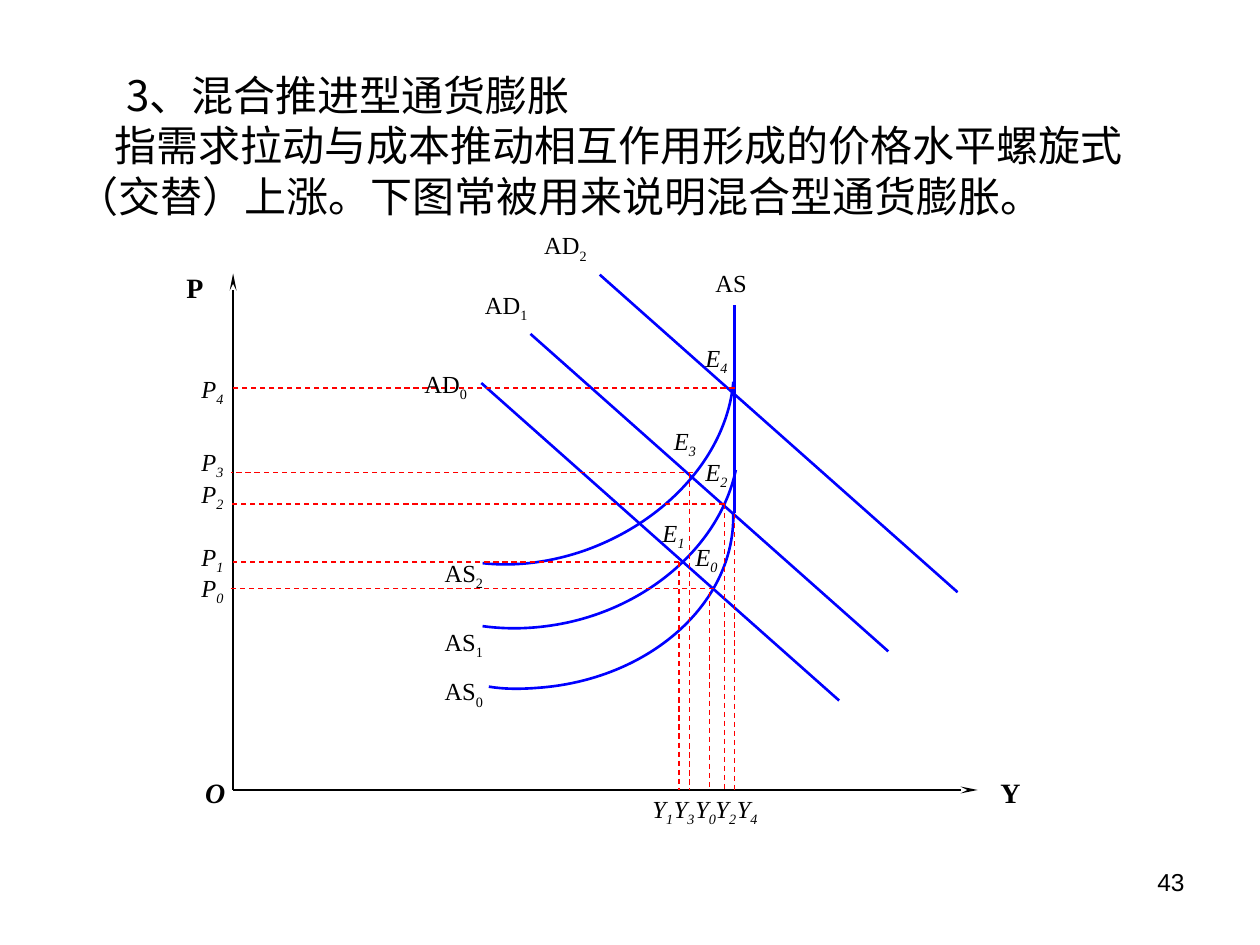
import dataclasses

import lxml.etree
import pptx
import pptx.dml.color
import pptx.enum.dml
import pptx.enum.shapes
import pptx.enum.text
import pptx.oxml.ns
import pptx.util

Inches = pptx.util.Inches
Pt = pptx.util.Pt
qn = pptx.oxml.ns.qn

BLACK = pptx.dml.color.RGBColor(0x00, 0x00, 0x00)
BLUE = pptx.dml.color.RGBColor(0x00, 0x00, 0xFF)
RED = pptx.dml.color.RGBColor(0xFF, 0x00, 0x00)
SERIF = "Times New Roman"
CHINESE = "Noto Sans CJK SC"

TITLE_LINES = [
    ("3、混合推进型通货膨胀", 0.39),
    ("指需求拉动与成本推动相互作用形成的价格水平螺旋式（交替）上涨。下图常被用来说明混合型通货膨胀。", 0.3),
]
AXIS_LABELS = [("O", 0.53, 5.11), ("Y", 6.84, 5.11), ("P", 0.38, 1.1)]
POINT_LABELS = [
    ("E", "0", 4.42, 3.25, 0.63), ("E", "1", 4.16, 3.06, 0.4),
    ("E", "2", 4.5, 2.58, 0.63), ("E", "3", 4.25, 2.33, 0.4),
    ("E", "4", 4.5, 1.67, 0.4),
    ("P", "0", 0.5, 3.5, 0.55), ("P", "1", 0.5, 3.25, 0.4),
    ("P", "2", 0.5, 2.75, 0.55), ("P", "3", 0.5, 2.5, 0.4),
    ("P", "4", 0.5, 1.92, 0.4),
    ("Y", "0", 4.42, 5.25, 0.55), ("Y", "1", 4.08, 5.25, 0.55),
    ("Y", "2", 4.58, 5.25, 0.5), ("Y", "3", 4.25, 5.25, 0.4),
    ("Y", "4", 4.75, 5.25, 0.4),
    ("AD", "0", 2.27, 1.88, 0.87), ("AD", "1", 2.75, 1.25, 0.58),
    ("AD", "2", 3.22, 0.78, 0.58),
    ("AS", "0", 2.43, 4.32, 1.26), ("AS", "1", 2.43, 3.93, 1.26),
    ("AS", "2", 2.43, 3.38, 0.62), ("AS", "", 4.58, 1.08, 0.5),
]
DEMAND_STARTS = [(2.82, 2.04), (3.21, 1.65), (3.76, 1.18)]
DEMAND_RUN, DEMAND_DROP = 2.84, 2.52
SUPPLY_CURVES = [
    [(2.88, 4.45), (3, 4.47), (3.13, 4.47), (3.26, 4.46), (4.15, 4.4), (4.84, 3.79), (4.82, 3.07)],
    [(2.83, 3.97), (3.05, 4), (3.28, 3.99), (3.51, 3.94), (4.19, 3.79), (4.72, 3.3), (4.84, 2.73)],
    [(2.83, 3.47), (3.1, 3.5), (3.38, 3.46), (3.64, 3.37), (4.29, 3.14), (4.77, 2.61), (4.82, 2.03)],
]
GUIDES = [
    (0.83, 4.67, 3.67, 4.63, 3.7),
    (0.85, 4.39, 3.46, 4.39, 3.46),
    (0.83, 4.75, 3, 4.75, 3),
    (0.83, 4.5, 2.75, 4.47, 2.75),
    (0.83, 4.83, 2.08, 4.83, 3.08),
]
ORIGIN = (0.85, 5.27)


@dataclasses.dataclass
class Box:
    """A region of the slide, in inches."""
    left: float
    top: float
    width: float
    height: float

    def point(self, x, y):
        """Turn a place inside the region into slide lengths."""
        return Inches(self.left + x), Inches(self.top + y)


def add_line(page, box, start, end, color, weight, dashed=False, arrow=False):
    """Draw a straight line between two places in the box."""
    line = page.shapes.add_connector(
        pptx.enum.shapes.MSO_CONNECTOR.STRAIGHT, *box.point(*start), *box.point(*end))
    line.line.color.rgb = color
    line.line.width = Pt(weight)
    if dashed:
        line.line.dash_style = pptx.enum.dml.MSO_LINE.DASH
    if arrow:
        lxml.etree.SubElement(
            line.line._get_or_add_ln(), qn("a:tailEnd"), type="stealth", w="sm", len="lg")
    lxml.etree.SubElement(line._element.spPr, qn("a:effectLst"))


def add_curve(page, box, points):
    """Draw a smooth open curve through groups of three Bezier points."""
    places = [box.point(*point) for point in points]
    builder = page.shapes.build_freeform(*places[0])
    builder.add_line_segments(places[1:], close=False)
    curve = builder.convert_to_shape()
    outline = curve._element.find(".//" + qn("a:path"))
    segments = outline.findall(qn("a:lnTo"))
    for index in range(0, len(segments), 3):
        bezier = lxml.etree.SubElement(outline, qn("a:cubicBezTo"))
        for segment in segments[index:index + 3]:
            bezier.append(segment[0])
            outline.remove(segment)
    curve.fill.background()
    curve.line.color.rgb = BLUE
    curve.line.width = Pt(1.5)
    curve.shadow.inherit = False


def add_label(page, box, left, top, width, text, size, subscript=""):
    """Add a small text box with an optional subscript and return its paragraph."""
    label = page.shapes.add_textbox(*box.point(left, top), Inches(width), Inches(0.37))
    frame = label.text_frame
    frame.word_wrap = True
    frame.auto_size = pptx.enum.text.MSO_AUTO_SIZE.SHAPE_TO_FIT_TEXT
    para = frame.paragraphs[0]
    para.add_run().text = text
    if subscript:
        span = para.add_run()
        span.text = subscript
        span.font._element.set("baseline", "-25000")
    para.font.name = SERIF
    para.font.size = Pt(size)
    para.font.color.rgb = BLACK
    return para


def add_title(page, box):
    """Fill the title placeholder with the heading and its explanation."""
    title = page.shapes.title
    title.left, title.top = box.point(0, 0)
    title.width, title.height = Inches(box.width), Inches(box.height)
    frame = title.text_frame
    frame.word_wrap = True
    frame.auto_size = pptx.enum.text.MSO_AUTO_SIZE.NONE
    frame.vertical_anchor = pptx.enum.text.MSO_ANCHOR.MIDDLE
    for index, (text, indent) in enumerate(TITLE_LINES):
        para = frame.add_paragraph() if index else frame.paragraphs[0]
        span = para.add_run()
        span.text = text
        para._p.get_or_add_pPr().set("indent", str(Inches(indent)))
        para.alignment = pptx.enum.text.PP_ALIGN.LEFT
        para.font.name = CHINESE
        para.font.size = Pt(24)
        para.font.color.rgb = BLACK
        lxml.etree.SubElement(span.font._element, qn("a:ea"), typeface=CHINESE)


def add_diagram(page, box):
    """Draw the supply and demand diagram with its axes, curves and guides."""
    for end in ((ORIGIN[0], 1.17), (6.76, ORIGIN[1])):
        add_line(page, box, ORIGIN, end, BLACK, 1, arrow=True)
    for points in SUPPLY_CURVES:
        add_curve(page, box, points)
    add_line(page, box, (4.83, 3.07), (4.83, 1.42), BLUE, 1.5)
    for x, y in DEMAND_STARTS:
        add_line(page, box, (x, y), (x + DEMAND_RUN, y + DEMAND_DROP), BLUE, 1.5)
    for left, right, level, output, top in GUIDES:
        add_line(page, box, (right, level), (left, level), RED, 0.75, dashed=True)
        add_line(page, box, (output, top), (output, ORIGIN[1]), RED, 0.75, dashed=True)
    for text, left, top in AXIS_LABELS:
        para = add_label(page, box, left, top, 0.39, text, 16)
        para.font.bold = True
        para.font.italic = text == "O"
    for text, subscript, left, top, width in POINT_LABELS:
        para = add_label(page, box, left, top, width, text, 14, subscript)
        para.font.italic = len(text) == 1


def add_page_number(page, box):
    """Place the page number at the right of its box."""
    number = page.shapes.add_textbox(
        *box.point(0, 0), Inches(box.width), Inches(box.height))
    number.text_frame.word_wrap = True
    para = number.text_frame.paragraphs[0]
    para.text = "43"
    para.alignment = pptx.enum.text.PP_ALIGN.RIGHT
    para.font.name = "Arial"
    para.font.size = Pt(14)
    para.font.color.rgb = BLACK


def main():
    """Build the slide and save it."""
    deck = pptx.Presentation()
    deck.slide_width, deck.slide_height = Inches(10), Inches(7.5)
    page = deck.slides.add_slide(deck.slide_layouts[5])
    add_title(page, Box(0.51, 0.44, 8.98, 1.42))
    add_diagram(page, Box(1, 1, 8, 5.7))
    add_page_number(page, Box(7.17, 6.83, 2.33, 0.52))
    deck.save("out.pptx")


if __name__ == "__main__":
    main()
